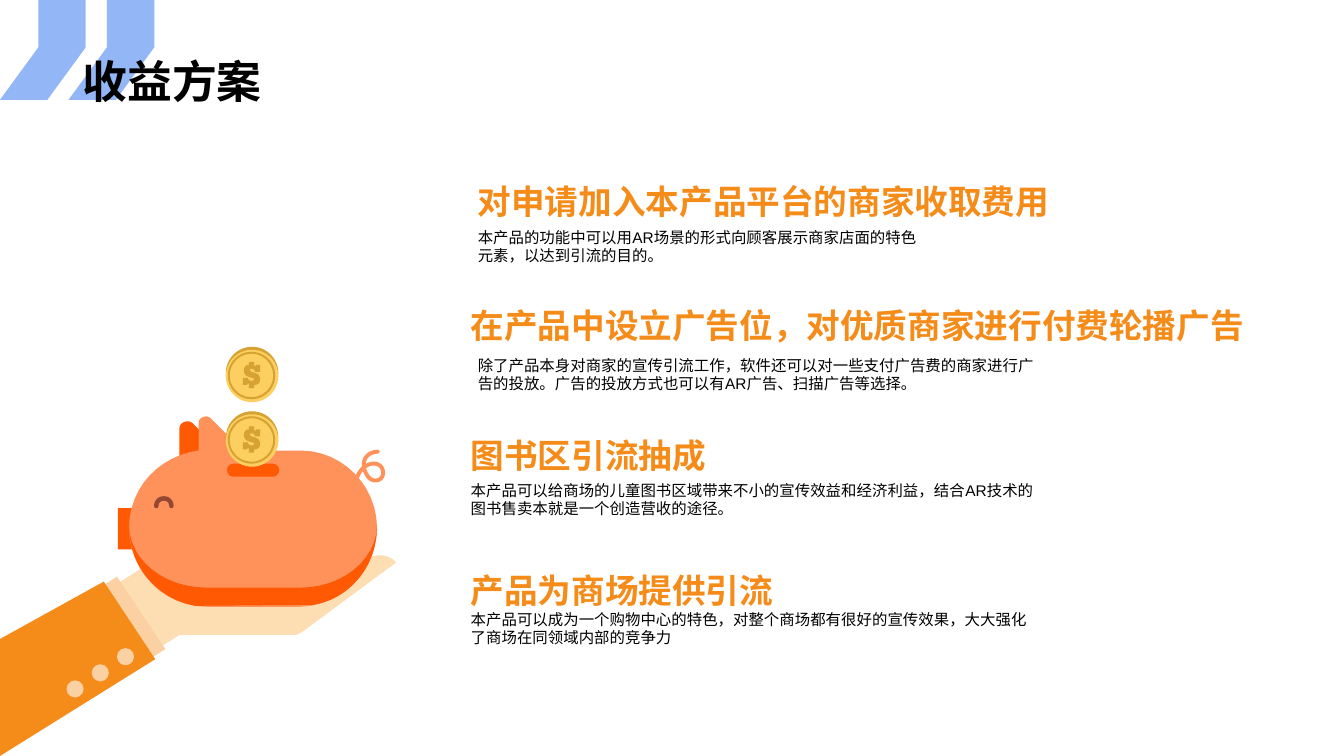
import pptx
import pptx.util
import pptx.dml.color
import pptx.enum.shapes
import pptx.enum.text
import pptx.enum.lang
import pptx.oxml
from pptx.oxml.ns import qn
from dataclasses import dataclass

TITLE = "收益方案"
PLANS = [
    ("对申请加入本产品平台的商家收取费用", (4.64, 1.75, 6.18),
     "本产品的功能中可以用AR场景的形式向顾客展示商家店面的特色元素，以达到引流的目的。", (4.64, 2.21, 4.58)),
    ("在产品中设立广告位，对优质商家进行付费轮播广告", (4.57, 2.98, 7.96),
     "除了产品本身对商家的宣传引流工作，软件还可以对一些支付广告费的商家进行广告的投放。"
     "广告的投放方式也可以有AR广告、扫描广告等选择。", (4.64, 3.48, 5.82)),
    ("图书区引流抽成", (4.57, 4.27, 3),
     "本产品可以给商场的儿童图书区域带来不小的宣传效益和经济利益，"
     "结合AR技术的图书售卖本就是一个创造营收的途径。", (4.57, 4.72, 5.82)),
    ("产品为商场提供引流", (4.57, 5.6, 3.64),
     "本产品可以成为一个购物中心的特色，对整个商场都有很好的宣传效果，"
     "大大强化了商场在同领域内部的竞争力", (4.57, 6, 5.82)),
]


@dataclass(frozen=True)
class Theme:
    font: str = "Arial"
    title_size: int = 32
    heading_size: int = 24
    body_size: int = 11
    ink: str = "000000"
    orange: str = "F58C19"
    chevron: str = "296EF1"
    skin: str = "FDDDB2"
    cuff: str = "FBD1A3"
    pig: str = "FF925B"
    pig_dark: str = "FF5904"
    eye: str = "944832"
    gold: str = "FCCF60"
    gold_dark: str = "D6A231"


theme = Theme()

CHEVRON = "M .38 0 L .85 0 L .85 .47 L .47 .99 L 0 .99 L .38 .47"
CHEVRON_STEP = 0.68
HAND = ("M 3.61 5.57 L 3.01 6.01 L 2.02 6.01 C 1.96 6.01 1.92 5.97 1.92 5.91 C 1.92 5.85 1.96 5.81 2.02 5.81 "
        "L 2.51 5.81 C 2.68 5.81 2.77 5.65 2.77 5.57 L 1.72 5.57 C 1.48 5.57 1.34 5.68 1.34 5.68 "
        "L .16 6.42 L .53 7.09 L 1.78 6.3 L 2.91 6.3 C 2.95 6.3 2.98 6.28 3.01 6.26 L 3.93 5.58 "
        "C 3.88 5.52 3.74 5.46 3.61 5.57")
BACK_EAR = "M 1.86 4.18 C 1.88 4.18 1.9 4.19 1.91 4.2 L 2.26 4.55 L 1.78 4.55 L 1.78 4.25 C 1.78 4.21 1.82 4.18 1.86 4.18"
BODY = ("M 1.28 5.24 C 1.28 5.67 1.63 6.02 2.05 6.02 L 2.98 6.02 C 3.4 6.01 3.74 5.66 3.74 5.24 "
        "C 3.74 4.82 3.4 4.47 2.98 4.47 L 2.41 4.47 L 2.09 4.15 C 2.05 4.11 1.97 4.14 1.97 4.2 "
        "L 1.97 4.47 C 1.59 4.52 1.28 4.83 1.28 5.24")
BELLY = ("M 1.28 5.22 C 1.29 5.56 1.63 5.83 2.05 5.83 L 2.98 5.83 C 3.39 5.83 3.73 5.56 3.74 5.22 "
         "C 3.74 5.62 3.47 5.94 3.11 6 L 1.94 6.01 C 1.57 5.95 1.28 5.63 1.28 5.22")
TAIL = ("M 3.54 4.74 C 3.56 4.69 3.58 4.66 3.62 4.63 C 3.7 4.57 3.8 4.6 3.8 4.69 "
        "C 3.8 4.77 3.71 4.79 3.66 4.74 C 3.58 4.65 3.58 4.49 3.75 4.48")
EYE = "M 1.55 5.02 C 1.55 4.92 1.7 4.92 1.7 5.02"
CUFF = "M 1.16 5.72 L 1.64 6.44 L 1.42 6.58 L .95 5.86"
SLEEVE = "M 1.54 6.54 L 0 7.5 L 0 6.34 L 1.03 5.77"
BUTTONS = [(1.16, 6.43), (0.91, 6.59), (0.66, 6.75)]
COIN_TOPS = [4.08, 3.44]
DOLLAR = ("M 2.52 .15 L 2.52 .18 L 2.53 .2 L 2.54 .18 L 2.58 .18 L 2.58 .25 L 2.53 .25 "
          "C 2.53 .23 2.51 .22 2.5 .22 C 2.49 .22 2.48 .22 2.48 .23 C 2.48 .25 2.5 .25 2.53 .26 "
          "C 2.56 .27 2.58 .29 2.58 .32 C 2.58 .36 2.56 .38 2.52 .38 L 2.52 .41 L 2.47 .41 L 2.47 .37 "
          "L 2.46 .36 L 2.45 .38 L 2.41 .38 L 2.41 .31 L 2.46 .31 C 2.46 .33 2.48 .34 2.5 .34 "
          "C 2.51 .34 2.52 .33 2.52 .32 C 2.52 .31 2.5 .31 2.47 .3 C 2.44 .29 2.42 .27 2.42 .24 "
          "C 2.42 .2 2.44 .18 2.47 .18 L 2.47 .15")

inch = pptx.util.Inches
SHAPE = pptx.enum.shapes.MSO_SHAPE
ANCHOR = pptx.enum.text.MSO_ANCHOR
CURVE_STEPS = 12

deck = pptx.Presentation()
deck.slide_width, deck.slide_height = inch(13.33), inch(7.5)
page = deck.slides.add_slide(deck.slide_layouts[6])


def rgb(code):
    return pptx.dml.color.RGBColor.from_string(code)


def bezier(ends, share):
    rest = 1 - share
    weights = (rest ** 3, 3 * rest ** 2 * share, 3 * rest * share ** 2, share ** 3)
    return tuple(sum(w * end[axis] for w, end in zip(weights, ends)) for axis in (0, 1))


def trace(outline):
    points = []
    for command in outline.replace("M", "L").replace("L", "|L").replace("C", "|C").split("|")[1:]:
        numbers = [float(word) for word in command[1:].split()]
        pairs = list(zip(numbers[::2], numbers[1::2]))
        if command[0] == "C":
            ends = [points[-1]] + pairs
            pairs = [bezier(ends, step / CURVE_STEPS) for step in range(1, CURVE_STEPS + 1)]
        points += pairs
    return points


def paint(shape, colour):
    shape.shadow.inherit = False
    shape.fill.solid()
    shape.fill.fore_color.rgb = rgb(colour)
    shape.line.fill.background()
    return shape


def freeform(outline, right=0, down=0, close=True):
    points = [(inch(x + right), inch(y + down)) for x, y in trace(outline)]
    builder = page.shapes.build_freeform(*points[0], scale=1.0)
    builder.add_line_segments(points[1:], close=close)
    return builder.convert_to_shape()


def fill_path(outline, colour, right=0, down=0):
    return paint(freeform(outline, right, down), colour)


def stroke_path(outline, colour, width):
    shape = freeform(outline, close=False)
    shape.shadow.inherit = False
    shape.fill.background()
    shape.line.color.rgb = rgb(colour)
    shape.line.width = pptx.util.Pt(width)
    shape.line._get_or_add_ln().set("cap", "rnd")


def preset(kind, colour, *place):
    return paint(page.shapes.add_shape(kind, *map(inch, place)), colour)


def write(text, place, size, colour, bold=False, anchor=ANCHOR.TOP):
    box = page.shapes.add_textbox(*map(inch, place))
    frame = box.text_frame
    frame.word_wrap = True
    frame.vertical_anchor = anchor
    para = frame.paragraphs[0]
    span = para.add_run()
    span.text = text
    span.font.language_id = pptx.enum.lang.MSO_LANGUAGE_ID.SIMPLIFIED_CHINESE
    para.font.name = theme.font
    para.font.size = pptx.util.Pt(size)
    para.font.bold = bold
    para.font.color.rgb = rgb(colour)
    return para


for column in range(2):
    chevron = fill_path(CHEVRON, theme.chevron, right=column * CHEVRON_STEP)
    tint = chevron.fill._xPr.find(qn("a:solidFill"))[0]
    tint.append(pptx.oxml.parse_xml(
        '<a:alpha xmlns:a="http://schemas.openxmlformats.org/drawingml/2006/main" val="50000"/>'))

title = write(TITLE, (0.72, 0, 11.88, 1.12), theme.title_size, theme.ink, True, ANCHOR.BOTTOM)
title.line_spacing = 0.9

fill_path(HAND, theme.skin)
fill_path(BACK_EAR, theme.pig_dark)
preset(SHAPE.RECTANGLE, theme.pig_dark, 1.17, 5.04, 0.17, 0.41)
stroke_path(TAIL, theme.pig, 2.8)
fill_path(BODY, theme.pig)
fill_path(BELLY, theme.pig_dark)
slot = preset(SHAPE.ROUNDED_RECTANGLE, theme.pig_dark, 2.25, 4.6, 0.52, 0.13)
slot.adjustments[0] = 0.5
stroke_path(EYE, theme.eye, 3.2)
fill_path(CUFF, theme.cuff)
fill_path(SLEEVE, theme.orange)
for left, top in BUTTONS:
    preset(SHAPE.OVAL, theme.cuff, left, top, 0.17, 0.17)
for top in COIN_TOPS:
    preset(SHAPE.OVAL, theme.gold_dark, 2.24, top, 0.52, 0.52)
    preset(SHAPE.OVAL, theme.gold, 2.24, top + 0.03, 0.52, 0.52)
    ring = preset(SHAPE.DONUT, theme.gold_dark, 2.26, top + 0.05, 0.47, 0.47)
    ring.adjustments[0] = 0.04
    fill_path(DOLLAR, theme.gold_dark, down=top)

for heading, heading_place, detail, detail_place in PLANS:
    write(heading, (*heading_place, 0.5), theme.heading_size, theme.orange, True)
    write(detail, (*detail_place, 0.47), theme.body_size, theme.ink)

deck.save("out.pptx")
